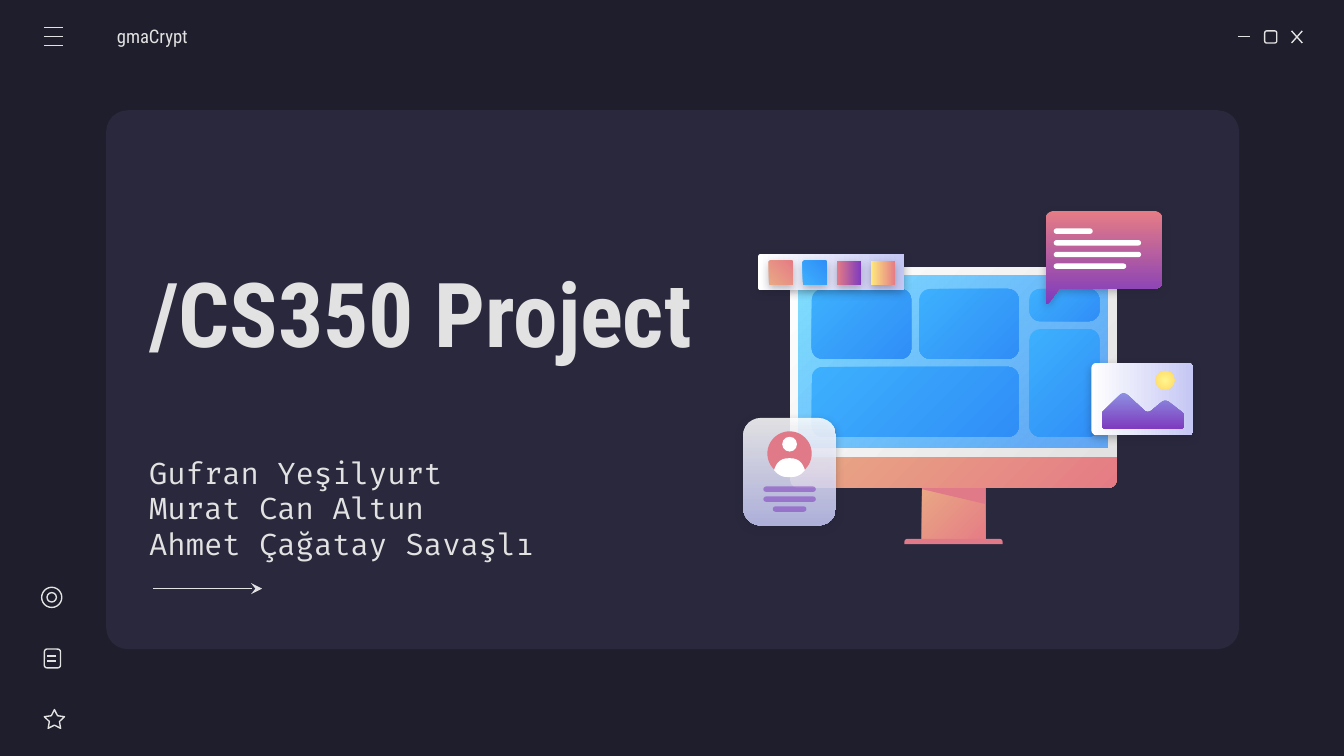
from math import dist
from lxml.etree import SubElement
from pptx import Presentation
from pptx.dml.color import RGBColor
from pptx.enum.shapes import MSO_CONNECTOR, MSO_SHAPE
from pptx.enum.text import MSO_ANCHOR, MSO_AUTO_SIZE, PP_ALIGN
from pptx.oxml.ns import qn
from pptx.util import Inches, Pt

# Content
TITLE = ["/CS350 Project"]
AUTHORS = ["Gufran Yeşilyurt", "Murat Can Altun", "Ahmet Çağatay Savaşlı"]
PROJECT = ["gmaCrypt"]

# Theme: colours, gradients (from, to, clockwise angle) and type
THEME = {
    "background": "1E1E2C", "panel": "29283D", "ink": "E2E2E2",
    "white": "FFFFFF", "coral": "E07A88", "violet": "7E3BBE",
    "peach": ("E9A984", "E57C85", 45), "frame": ("FFFFFF", "E2E2E2", 45),
    "screen": ("80DFFF", "318FFA", 45), "tile": ("3DB0FD", "308EF7", 45),
    "bubble": ("E57C85", "7E3BBE", 90), "card": ("FFFFFF", "C5C7F4", 90),
    "paper": ("FFFFFF", "C5C7F4", 0), "hills": ("8D90E1", "7E3BBE", 90),
    "sun": ("FFF68E", "FFD966", "circle"),
    "swatches": [("E9A984", "E57C85", 315), ("3DB0FD", "308EF7", 315),
                 ("E57C85", "7E3BBE", 0), ("FFEA7D", "E57C85", 0)],
    "title": {"name": "Roboto Condensed", "size": Pt(48), "bold": True},
    "authors": {"name": "Fira Code", "size": Pt(16), "bold": False},
    "project": {"name": "Roboto Condensed", "size": Pt(10), "bold": False},
    "line": Pt(0.75),
}
RECT, ROUND, OVAL = MSO_SHAPE.RECTANGLE, MSO_SHAPE.ROUNDED_RECTANGLE, MSO_SHAPE.OVAL
CAPPED, STAR = MSO_SHAPE.ROUND_2_SAME_RECTANGLE, MSO_SHAPE.STAR_5_POINT

prs = Presentation()
prs.slide_width, prs.slide_height = Inches(10), Inches(10 * 9 / 16)
slide = prs.slides.add_slide(prs.slide_layouts[0])
shapes = slide.shapes


def rgb(colour):
    return RGBColor.from_string(colour)


def set_alpha(fill_element, alpha):
    for colour in fill_element.iter(qn("a:srgbClr")):
        SubElement(colour, qn("a:alpha"), val=str(alpha * 1000))


def paint(shape, fill, alpha=None, shadow=False):
    """Fill a shape with a colour, a gradient or nothing (outline only)."""
    shape.shadow.inherit = False
    properties = shape._element.spPr
    if fill is None:
        shape.fill.background()
        shape.line.color.rgb = rgb(THEME["ink"])
        shape.line.width = THEME["line"]
    else:
        shape.line.fill.background()
        if isinstance(fill, str):
            shape.fill.solid()
            shape.fill.fore_color.rgb = rgb(fill)
        else:
            start, end, angle = fill
            shape.fill.gradient()
            for stop, colour in zip(shape.fill.gradient_stops, (start, end)):
                stop.color.rgb = rgb(colour)
            if angle == "circle":
                gradient = properties.find(qn("a:gradFill"))
                gradient.remove(gradient.find(qn("a:lin")))
                radial = SubElement(gradient, qn("a:path"), path="circle")
                SubElement(radial, qn("a:fillToRect"),
                           {side: "50000" for side in "ltrb"})
            else:
                shape.fill.gradient_angle = (360 - angle) % 360
    if alpha:
        set_alpha(properties, alpha)
    if shadow:
        outer = SubElement(properties.find(qn("a:effectLst")), qn("a:outerShdw"),
                           blurRad=str(Pt(4.5)), dist=str(Pt(1.5)), dir="5400000",
                           algn="bl", rotWithShape="0")
        SubElement(outer, qn("a:srgbClr"), val=THEME["background"])
        set_alpha(outer, 30)


def add_block(kind, box, fill, radii=(), **look):
    """Add a preset shape; radii are corner radii in inches."""
    block = shapes.add_shape(kind, *map(Inches, box))
    for i, radius in enumerate(radii):
        block.adjustments[i] = min(0.5, radius / min(box[2:]))
    paint(block, fill, **look)
    return block


def add_outline(corners, fill, **look):
    """Add a polygon whose (x, y, radius) corners are rounded off."""
    points = []
    for i, (x, y, radius) in enumerate(corners):
        ends = []
        for nx, ny, _ in (corners[i - 1], corners[(i + 1) % len(corners)]):
            share = radius / dist((x, y), (nx, ny))
            ends.append((x + (nx - x) * share, y + (ny - y) * share))
        (ax, ay), (bx, by) = ends
        for t in [step / 6 for step in range(7)] if radius else [0]:
            a, c, b = (1 - t) ** 2, 2 * t * (1 - t), t * t
            points.append((Inches(a * ax + c * x + b * bx),
                           Inches(a * ay + c * y + b * by)))
    builder = shapes.build_freeform(*points[0])
    builder.add_line_segments(points[1:], close=True)
    paint(builder.convert_to_shape(), fill, **look)


def add_line(x1, y1, x2, y2, arrow=False):
    connector = shapes.add_connector(MSO_CONNECTOR.STRAIGHT,
                                     *map(Inches, (x1, y1, x2, y2)))
    connector.line.color.rgb = rgb(THEME["ink"])
    connector.line.width = THEME["line"]
    if arrow:
        SubElement(connector.line._get_or_add_ln(), qn("a:tailEnd"), type="stealth")
    SubElement(connector._element.spPr, qn("a:effectLst"))


def set_text(holder, box, lines, style, left_inset=0.1):
    holder.left, holder.top, holder.width, holder.height = map(Inches, box)
    frame = holder.text_frame
    layout = {"word_wrap": True, "auto_size": MSO_AUTO_SIZE.NONE,
              "vertical_anchor": MSO_ANCHOR.MIDDLE, "margin_left": Inches(left_inset),
              "margin_right": Inches(0.1), "margin_top": Inches(0.1),
              "margin_bottom": Inches(0.1)}
    for key, value in layout.items():
        setattr(frame, key, value)
    frame.text = "\n".join(lines)
    spacing = {"alignment": PP_ALIGN.LEFT, "line_spacing": 1.0,
               "space_before": Pt(0), "space_after": Pt(0)}
    for paragraph in frame.paragraphs:
        for key, value in spacing.items():
            setattr(paragraph, key, value)
        font = paragraph.runs[0].font
        for key, value in THEME[style].items():
            setattr(font, key, value)
        font.color.rgb = rgb(THEME["ink"])


# Background and panel, with the panel behind the placeholders
slide.background.fill.solid()
slide.background.fill.fore_color.rgb = rgb(THEME["background"])
panel = add_block(ROUND, (0.79, 0.82, 8.43, 4.01), THEME["panel"], (0.16,))
shapes._spTree.insert(2, panel._element)

# Texts
set_text(shapes.title, (1.01, 1.44, 4.47, 1.76), TITLE, "title")
set_text(slide.placeholders[1], (1.01, 3.38, 3.24, 0.8), AUTHORS, "authors")
set_text(shapes.add_textbox(0, 0, 0, 0), (0.87, 0.12, 1.17, 0.3), PROJECT,
         "project", left_inset=0)

# Window buttons and menu
add_line(9.21, 0.27, 9.3, 0.27)
add_block(ROUND, (9.41, 0.23, 0.09, 0.09), None, (0.015,))
add_line(9.61, 0.23, 9.69, 0.32)
add_line(9.69, 0.23, 9.61, 0.32)
for row in range(3):
    y = 0.205 + row * 0.067
    add_line(0.33, y, 0.47, y)

# Monitor
add_block(RECT, (6.86, 3.61, 0.47, 0.43), THEME["peach"])
add_block(CAPPED, (6.73, 4.01, 0.73, 0.04), THEME["coral"], (0.03, 0))
add_outline([(6.86, 3.61, 0), (6.86, 3.64, 0), (7.33, 3.75, 0), (7.33, 3.61, 0)],
            THEME["coral"])
add_block(CAPPED, (5.88, 3.39, 2.43, 0.24), THEME["peach"], (0, 0.06))
add_block(CAPPED, (5.88, 1.99, 2.43, 1.41), THEME["frame"], (0.06, 0))
screen = add_block(RECT, (5.94, 2.05, 2.3, 1.28), THEME["screen"])
for stop in list(screen._element.iter(qn("a:gs")))[1:]:
    set_alpha(stop, 72)
for tile in [(6.04, 2.15, 0.74, 0.52), (6.04, 2.73, 1.54, 0.52), (6.84, 2.15, 0.74, 0.52),
             (7.66, 2.15, 0.52, 0.24), (7.66, 2.45, 0.52, 0.8)]:
    add_block(ROUND, tile, THEME["tile"], (0.08,))

# Speech bubble
add_outline([(7.78, 1.57, 0.07), (8.65, 1.57, 0.07), (8.65, 2.15, 0.07),
             (7.88, 2.15, 0), (7.8, 2.26, 0.02), (7.78, 2.26, 0.02)],
            THEME["bubble"], shadow=True)
for row, width in enumerate([0.29, 0.65, 0.65, 0.54]):
    add_block(ROUND, (7.84, 1.7 + row * 0.087, width, 0.04), THEME["white"], (0.02,))

# Profile card
add_block(ROUND, (5.53, 3.11, 0.69, 0.8), THEME["card"], (0.13,), alpha=86, shadow=True)
add_block(OVAL, (5.71, 3.21, 0.33, 0.33), THEME["coral"])
add_block(OVAL, (5.82, 3.25, 0.11, 0.11), THEME["white"])
add_outline([(5.76, 3.5, 0), (5.79, 3.41, 0.08), (5.96, 3.41, 0.08), (5.99, 3.5, 0),
             (5.94, 3.55, 0.05), (5.81, 3.55, 0.05)], THEME["white"])
for row, width in enumerate([0.39, 0.39, 0.25]):
    add_block(ROUND, (5.875 - width / 2, 3.62 + row * 0.074, width, 0.04),
              THEME["violet"], (0.02,), alpha=54)

# Landscape card
add_block(ROUND, (8.12, 2.7, 0.76, 0.54), THEME["paper"], (0.04,), shadow=True)
add_outline([(8.2, 3.07, 0.01), (8.36, 2.91, 0.04), (8.54, 3.08, 0.04),
             (8.67, 2.97, 0.04), (8.81, 3.08, 0.02), (8.81, 3.19, 0.03),
             (8.2, 3.19, 0.03)], THEME["hills"])
add_block(OVAL, (8.6, 2.76, 0.14, 0.14), THEME["sun"])

# Colour palette
add_block(ROUND, (5.64, 1.89, 1.09, 0.27), THEME["paper"], (0.02,), shadow=True)
for column, swatch in enumerate(THEME["swatches"]):
    add_block(ROUND, (5.72 + column * 0.253, 1.94, 0.18, 0.18), swatch, (0.01,),
              shadow=True)

# Side icons and arrow
add_block(STAR, (0.33, 5.28, 0.15, 0.14), None).adjustments[0] = 0.25
add_block(ROUND, (0.33, 4.83, 0.12, 0.14), None, (0.02,))
for y in (4.88, 4.92):
    add_line(0.35, y, 0.42, y)
add_block(OVAL, (0.31, 4.37, 0.15, 0.15), None)
add_block(OVAL, (0.35, 4.41, 0.07, 0.07), None)
add_line(1.14, 4.38, 1.95, 4.38, arrow=True)

prs.save("out.pptx")
